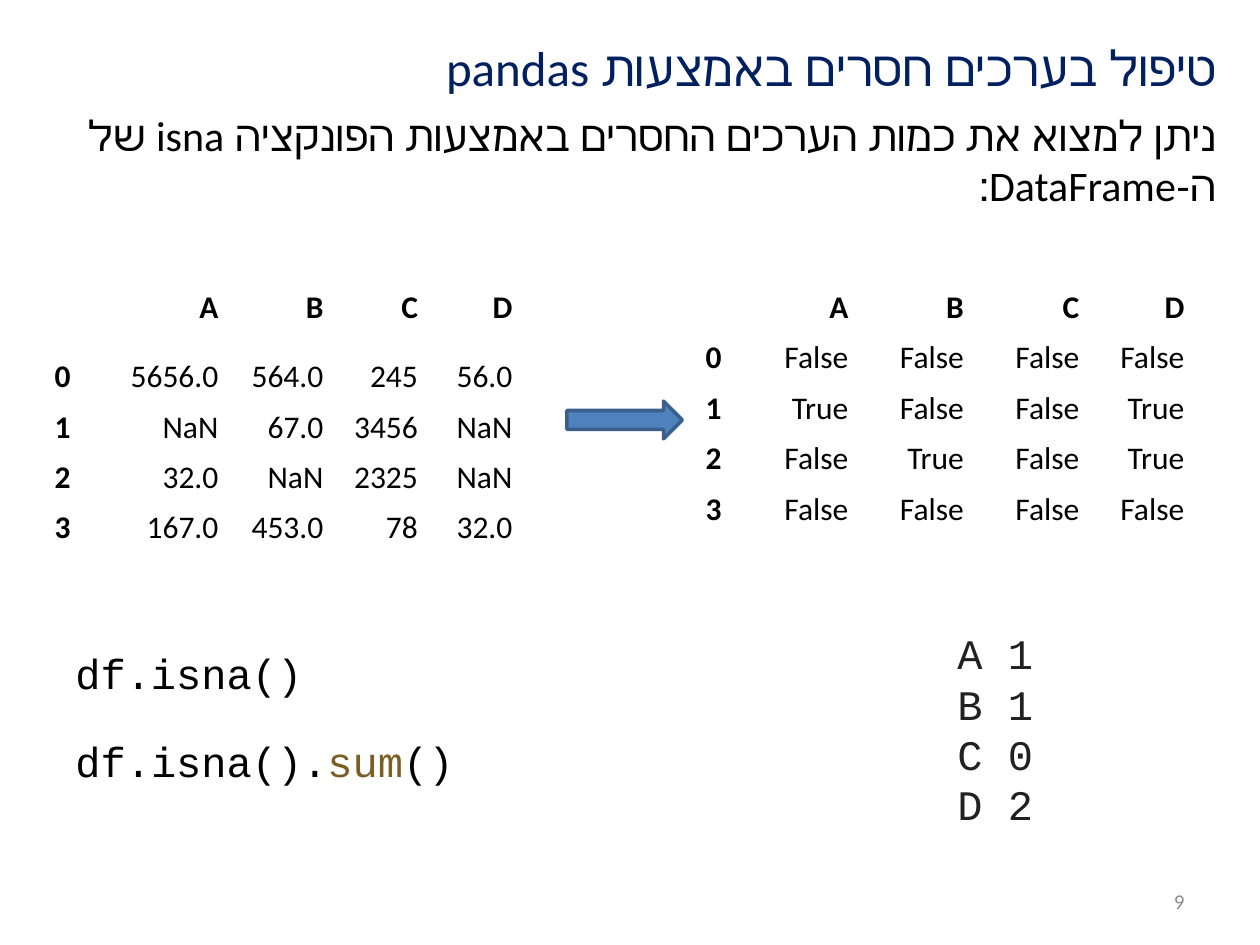
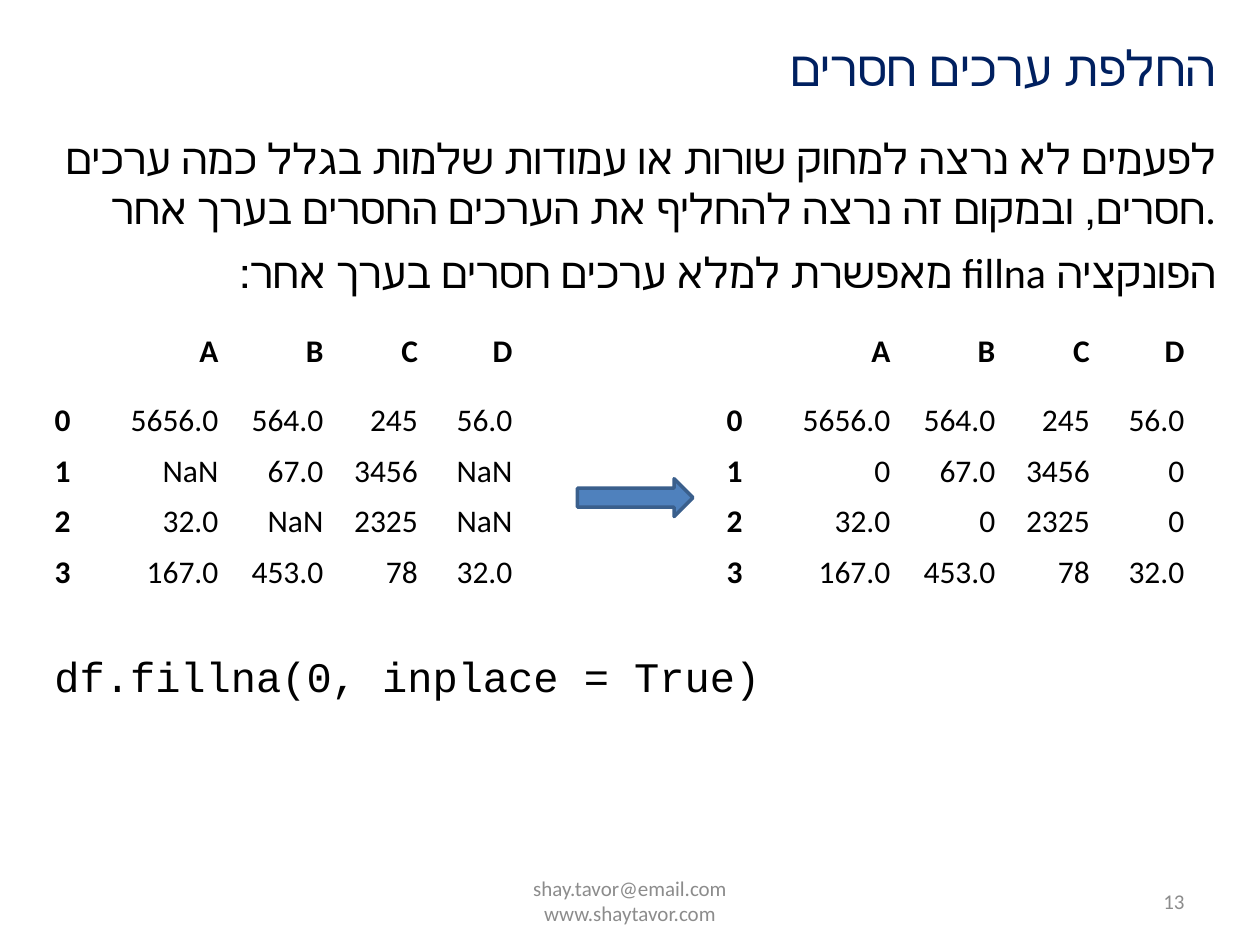
from pptx import Presentation
from pptx import util as u
from pptx.dml.color import RGBColor
from pptx.enum import shapes, text

PX = u.Inches(1) // 120
HUES = {"navy": "002060", "black": "000000", "gray": "8C8C8C", "white": "FFFFFF",
        "blue": "4F81BD", "edge": "3A5F8C", "brown": "795E26", "ink": "212121"}
SIDE = {"l": text.PP_ALIGN.LEFT, "c": text.PP_ALIGN.CENTER, "r": text.PP_ALIGN.RIGHT}
MID = text.MSO_ANCHOR.MIDDLE
GROW = text.MSO_AUTO_SIZE.SHAPE_TO_FIT_TEXT
WIDE = [60, 120, 100, 90, 90]
EVEN = [60, 100, 110, 110, 100]
HEAD = ["", "A", "B", "C", "D"]
GAPS = [HEAD,
        ["0", "5656.0", "564.0", "245", "56.0"],
        ["1", "NaN", "67.0", "3456", "NaN"],
        ["2", "32.0", "NaN", "2325", "NaN"],
        ["3", "167.0", "453.0", "78", "32.0"]]
FULL = [["0" if word == "NaN" else word for word in row] for row in GAPS]
FLAGS = [HEAD] + [row[:1] + [str(word == "NaN") for word in row[1:]] for row in GAPS[1:]]


def hue(name):
    return RGBColor.from_string(HUES[name])


def put(item, form):
    for name, value in form.items():
        setattr(item, name, value)


class Deck:
    """Holds the style and the current slide and draws each kind of element."""

    def __init__(self):
        self.show = Presentation()
        put(self.show, {"slide_width": 1200 * PX, "slide_height": 900 * PX})
        self.page = None

    def start(self, title, left, rtl=False):
        self.page = self.show.slides.add_slide(self.show.slide_layouts[6])
        self.prose(title, left, 30, 68, rtl, 28, "navy")

    def line(self, para, runs, side, size, face="Calibri", bold=False):
        para.alignment = SIDE[side]
        for words, tint in runs:
            if words == "\n":
                para.add_line_break()
                continue
            run = para.add_run()
            run.text = words
            put(run.font, {"name": face, "size": u.Pt(size), "bold": bold})
            run.font.color.rgb = hue(tint)

    def box(self, spot, **form):
        frame = self.page.shapes.add_textbox(*[n * PX for n in spot]).text_frame
        put(frame, {"word_wrap": True, **form})
        return frame

    def prose(self, words, left, top, high, rtl=True, size=24, tint="black"):
        frame = self.box((left, top, 1170 - left, high), auto_size=GROW)
        para = frame.paragraphs[0]
        self.line(para, [(words, tint)], "r", size)
        if rtl:
            para._p.get_or_add_pPr().set("rtl", "1")

    def code(self, lines, left, top, wide, high=60):
        frame = self.box((left, top, wide, high), word_wrap=False, auto_size=GROW)
        for i, runs in enumerate(lines):
            para = frame.add_paragraph() if i else frame.paragraphs[0]
            self.line(para, runs, "l", 24, "Courier New")

    def foot(self, lines, left, wide, side):
        frame = self.box((left, 834, wide, 48), vertical_anchor=MID)
        runs = []
        for words in lines:
            runs += [("\n", "gray")] * bool(runs) + [(words, "gray")]
        self.line(frame.paragraphs[0], runs, side, 12)

    def number(self, value):
        self.foot([str(value)], 860, 280, "r")

    def grid(self, rows, cols, left, top, first=84):
        highs = [first] + [48] * (len(rows) - 1)
        spot = [n * PX for n in (left, top, sum(cols), sum(highs))]
        table = self.page.shapes.add_table(len(rows), len(cols), *spot).table
        put(table, {"first_row": False, "horz_banding": False})
        for col, wide in zip(table.columns, cols):
            col.width = wide * PX
        for r, row in enumerate(rows):
            table.rows[r].height = highs[r] * PX
            for c, word in enumerate(row):
                cell = table.cell(r, c)
                put(cell, {"vertical_anchor": MID, "margin_top": 5 * PX,
                           "margin_bottom": 5 * PX})
                cell.fill.solid()
                cell.fill.fore_color.rgb = hue("white")
                if word:
                    self.line(cell.text_frame.paragraphs[0], [(word, "black")],
                              "r" if c else "l", 18, bold=not (r and c))

    def arrow(self, left, top):
        spot = [n * PX for n in (left, top, 110, 36)]
        form = self.page.shapes.add_shape(shapes.MSO_SHAPE.RIGHT_ARROW, *spot)
        form.shadow.inherit = False
        form.fill.solid()
        form.fill.fore_color.rgb = hue("blue")
        form.line.color.rgb = hue("edge")
        form.line.width = u.Pt(2)


def main():
    deck = Deck()
    deck.start("טיפול בערכים חסרים באמצעות pandas", 70, True)
    deck.number(9)
    deck.prose("ניתן למצוא את כמות הערכים החסרים באמצעות הפונקציה isna של ה-DataFrame:",
               50, 98, 109)
    deck.grid(GAPS, WIDE, 40, 251)
    deck.grid(FLAGS, EVEN, 660, 269, 48)
    deck.arrow(540, 382)
    deck.code([[("df.isna()", "black")]], 60, 611, 242)
    deck.code([[("df.isna().", "black"), ("sum", "brown"), ("()", "black")]], 60, 695, 388)
    sums = [f"{name} {[row[c] for row in FLAGS].count('True')}"
            for c, name in enumerate(HEAD) if name]
    deck.code([[(words, "ink")] for words in sums], 900, 592, 121, 206)

    deck.start("החלפת ערכים חסרים", 500)
    deck.foot(["shay.tavor@email.com", "www.shaytavor.com"], 410, 380, "c")
    deck.number(13)
    deck.prose("לפעמים לא נרצה למחוק שורות או עמודות שלמות בגלל כמה ערכים חסרים, "
               "ובמקום זה נרצה להחליף את הערכים החסרים בערך אחר.", 40, 120, 109, False)
    deck.prose("הפונקציה fillna מאפשרת למלא ערכים חסרים בערך אחר:", 0, 229, 60)
    for rows, left in ((GAPS, 40), (FULL, 680)):
        deck.grid(rows, WIDE, left, 293)
    deck.code([[("df.fillna(0, inplace = True)", "black")]], 40, 614, 702)
    deck.arrow(550, 456)
    deck.show.save("out.pptx")


if __name__ == "__main__":
    main()
